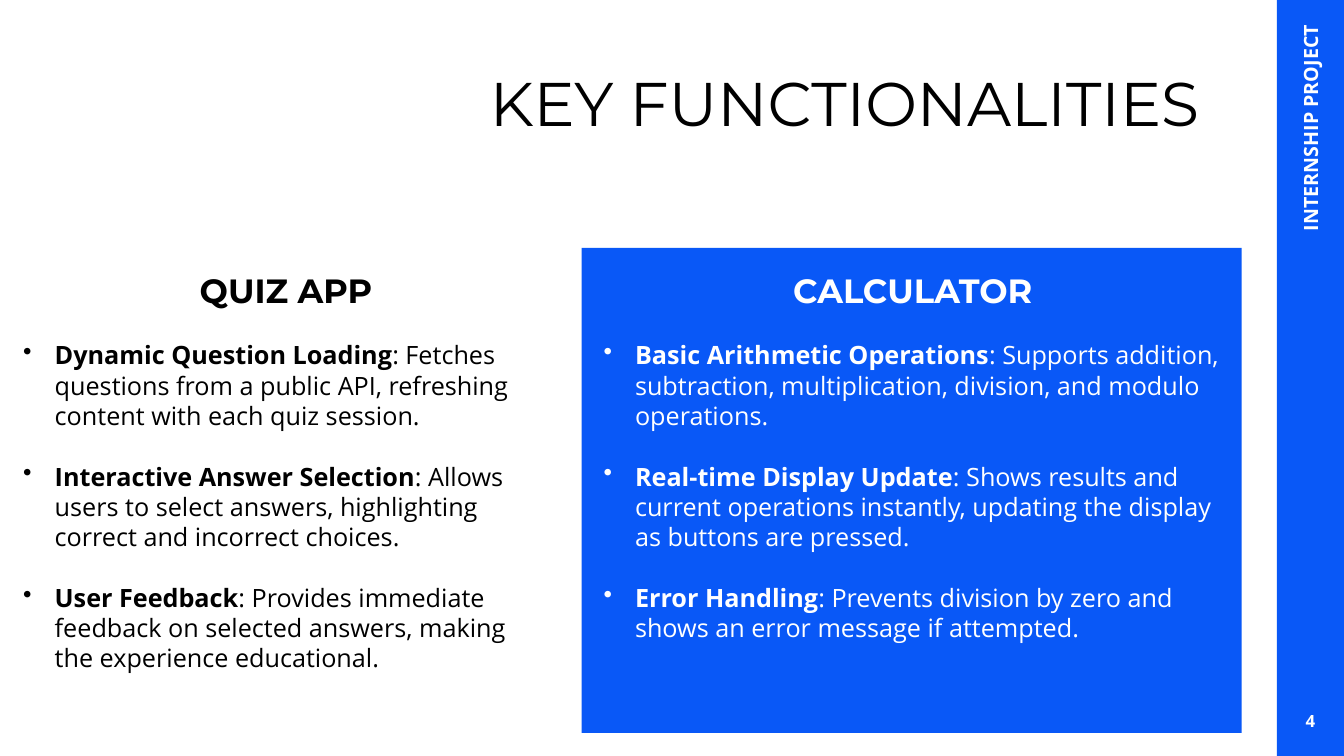
from dataclasses import dataclass

import pptx
import pptx.dml.color
import pptx.enum.shapes
import pptx.enum.text
import pptx.oxml
import pptx.oxml.ns
import pptx.util
import pptx.slide
import pptx.text.text

Pt = pptx.util.Pt
ALIGN = pptx.enum.text.PP_ALIGN
ANCHOR = pptx.enum.text.MSO_ANCHOR


@dataclass(frozen=True)
class Theme:
    blue: str = "0958F7"
    white: str = "FFFFFF"
    black: str = "000000"
    heading_font: str = "Montserrat"
    body_font: str = "Open Sans"
    title_size: float = 44
    heading_size: float = 24
    body_size: float = 18
    label_size: float = 14
    number_size: float = 12
    body_line: float = 21.65
    bullet_indent: float = 22.5


@dataclass(frozen=True)
class Box:
    left: float
    top: float
    width: float
    height: float


@dataclass(frozen=True)
class Style:
    font: str
    size: float
    color: str
    bold: bool = False


@dataclass(frozen=True)
class Feature:
    name: str
    detail: str


@dataclass(frozen=True)
class Column:
    heading: str
    left: float
    width: float
    color: str
    features: tuple[Feature, ...]


THEME = Theme()
SIDEBAR = Box(912, 0, 48, 540)
PANEL = Box(415.5, 177, 471.5, 346.5)
HEADING_TOP, HEADING_HEIGHT = 189.5, 36
LIST_TOP, LIST_HEIGHT = 239, 247

COLUMNS = (
    Column("CALCULATOR", 424, 456, THEME.white, (
        Feature("Basic Arithmetic Operations",
                "Supports addition, subtraction, multiplication, division, and modulo operations."),
        Feature("Real-time Display Update",
                "Shows results and current operations instantly, "
                "updating the display as buttons are pressed."),
        Feature("Error Handling",
                "Prevents division by zero and shows an error message if attempted."),
    )),
    Column("QUIZ APP", 9.5, 389.5, THEME.black, (
        Feature("Dynamic Question Loading",
                "Fetches questions from a public API, refreshing content with each quiz session."),
        Feature("Interactive Answer Selection",
                "Allows users to select answers, highlighting correct and incorrect choices."),
        Feature("User Feedback",
                "Provides immediate feedback on selected answers, "
                "making the experience educational."),
    )),
)


def rgb(color: str) -> pptx.dml.color.RGBColor:
    return pptx.dml.color.RGBColor.from_string(color)


def add_block(s: pptx.slide.Slide, box: Box, color: str) -> None:
    sp = s.shapes.add_shape(pptx.enum.shapes.MSO_SHAPE.RECTANGLE,
                            Pt(box.left), Pt(box.top), Pt(box.width), Pt(box.height))
    sp.shadow.inherit = False
    sp.fill.solid()
    sp.fill.fore_color.rgb = rgb(color)
    sp.line.fill.background()


def add_frame(s: pptx.slide.Slide, box: Box, anchor: ANCHOR = ANCHOR.TOP,
              rotation: float = 0) -> pptx.text.text.TextFrame:
    sp = s.shapes.add_textbox(Pt(box.left), Pt(box.top), Pt(box.width), Pt(box.height))
    sp.rotation = rotation
    tf = sp.text_frame
    tf.word_wrap = True
    tf.vertical_anchor = anchor
    return tf


def set_font(p: pptx.text.text._Paragraph, style: Style) -> None:
    p.font.name = style.font
    p.font.size = Pt(style.size)
    p.font.color.rgb = rgb(style.color)
    p.font.bold = style.bold


def add_line(tf: pptx.text.text.TextFrame, text: str, style: Style,
             align: ALIGN) -> pptx.text.text._Paragraph:
    p = tf.paragraphs[0]
    p.text = text
    p.alignment = align
    set_font(p, style)
    return p


def add_bullet(p: pptx.text.text._Paragraph) -> None:
    ppr = p._p.get_or_add_pPr()
    indent = Pt(THEME.bullet_indent)
    ppr.set("marL", str(indent))
    ppr.set("indent", str(-indent))
    bullet = pptx.oxml.parse_xml(
        f'<a:buChar {pptx.oxml.ns.nsdecls("a")} char="•"/>')
    ppr.insert_element_before(bullet, "a:tabLst", "a:defRPr", "a:extLst")


def add_column(s: pptx.slide.Slide, column: Column) -> None:
    heading = Style(THEME.heading_font, THEME.heading_size, column.color, True)
    body = Style(THEME.body_font, THEME.body_size, column.color)
    tf = add_frame(s, Box(column.left, HEADING_TOP, column.width, HEADING_HEIGHT))
    add_line(tf, column.heading, heading, ALIGN.CENTER)

    tf = add_frame(s, Box(column.left, LIST_TOP, column.width, LIST_HEIGHT))
    for i, feature in enumerate(column.features):
        p = tf.add_paragraph() if i else tf.paragraphs[0]
        p.line_spacing = Pt(THEME.body_line)
        p.space_before = Pt(THEME.body_line if i else 0)
        set_font(p, body)
        add_bullet(p)
        r = p.add_run()
        r.text = feature.name
        r.font.bold = True
        p.add_run().text = f": {feature.detail}"


def main() -> None:
    prs = pptx.Presentation()
    prs.slide_width, prs.slide_height = Pt(960), Pt(540)
    s = prs.slides.add_slide(prs.slide_layouts[6])

    add_block(s, SIDEBAR, THEME.blue)
    add_block(s, PANEL, THEME.blue)

    title = Style(THEME.heading_font, THEME.title_size, THEME.black)
    p = add_line(add_frame(s, Box(337, 49, 527, 129)), "KEY FUNCTIONALITIES",
                 title, ALIGN.RIGHT)
    p.line_spacing = 0.9

    label = Style(THEME.body_font, THEME.label_size, THEME.white, True)
    tf = add_frame(s, Box(774, 158.4, 324, 28.8), ANCHOR.MIDDLE, 270)
    add_line(tf, "INTERNSHIP PROJECT", label, ALIGN.RIGHT)

    number = Style(THEME.body_font, THEME.number_size, THEME.white, True)
    tf = add_frame(s, Box(SIDEBAR.left, 500.4, SIDEBAR.width, 28.8), ANCHOR.MIDDLE)
    add_line(tf, "4", number, ALIGN.CENTER)

    for column in COLUMNS:
        add_column(s, column)

    prs.save("out.pptx")


if __name__ == "__main__":
    main()
